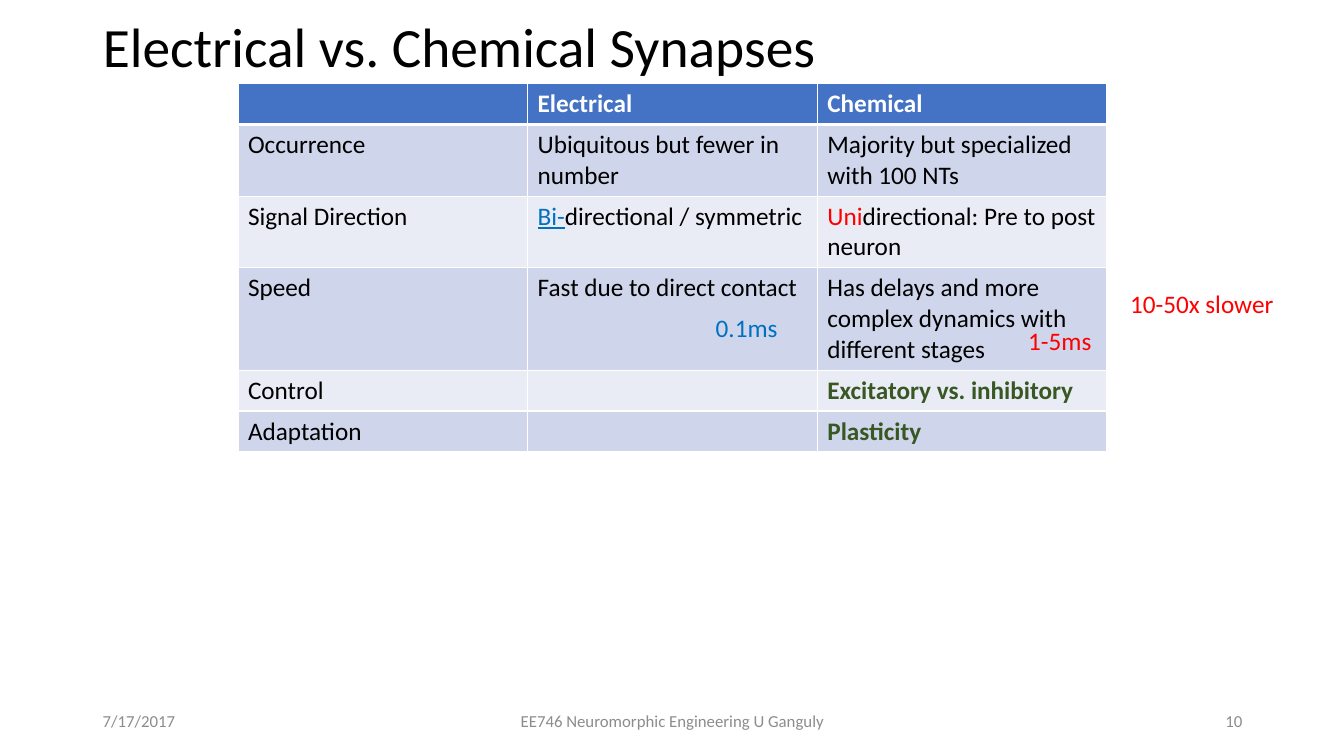
from lxml import etree
from pptx import Presentation
from pptx import util as u
from pptx.dml.color import RGBColor
from pptx.enum import text
from pptx.oxml import ns

WIDTH, HEIGHT = 13.33, 7.5
FONT = "Calibri"
BLACK = RGBColor(0x00, 0x00, 0x00)
WHITE = RGBColor(0xFF, 0xFF, 0xFF)
GREY = RGBColor(0x8C, 0x8C, 0x8C)
BLUE = RGBColor(0x00, 0x70, 0xC0)
RED = RGBColor(0xFF, 0x00, 0x00)
GREEN = RGBColor(0x38, 0x57, 0x23)
HEADER_FILL = RGBColor(0x44, 0x72, 0xC4)
BAND_FILLS = (RGBColor(0xE9, 0xEB, 0xF5), RGBColor(0xCF, 0xD5, 0xEA))

LEFT, MIDDLE, RIGHT = text.PP_ALIGN.LEFT, text.PP_ALIGN.CENTER, text.PP_ALIGN.RIGHT

# Each cell is plain text or a list of (text, colour, bold, underline) runs
COMPARISON = [
    ["", "Electrical", "Chemical"],
    ["Occurrence", "Ubiquitous but fewer in number", "Majority but specialized with 100 NTs"],
    ["Signal Direction",
     [("Bi-", BLUE, False, True), ("directional / symmetric", BLACK, False, False)],
     [("Uni", RED, False, False), ("directional: Pre to post neuron", BLACK, False, False)]],
    ["Speed", "Fast due to direct contact",
     "Has delays and more complex dynamics with different stages"],
    ["Control", "", [("Excitatory vs. inhibitory", GREEN, True, False)]],
    ["Adaptation", "", [("Plasticity", GREEN, True, False)]],
]
ROW_LINES = (1, 2, 2, 3, 1, 1)
ROW_PADDING, LINE_HEIGHT = 0.1, 0.305


def format_run(run, size, colour, bold=False, underline=False):
    run.font.name = FONT
    run.font.size = u.Pt(size)
    run.font.color.rgb = colour
    run.font.bold = bold
    if underline:
        run.font.underline = True


def add_label(slide, box, words, size, colour, align=LEFT, wrap=True,
              anchor=text.MSO_ANCHOR.TOP):
    shape = slide.shapes.add_textbox(*(u.Inches(length) for length in box))
    frame = shape.text_frame
    frame.word_wrap = wrap
    frame.vertical_anchor = anchor
    frame.text = words
    paragraph = frame.paragraphs[0]
    paragraph.alignment = align
    format_run(paragraph.runs[0], size, colour)


def add_title(slide, box, words):
    title = slide.shapes.title
    title.left, title.top, title.width, title.height = (u.Inches(length) for length in box)
    frame = title.text_frame
    frame.text = words
    frame.auto_size = text.MSO_AUTO_SIZE.NONE
    frame.vertical_anchor = text.MSO_ANCHOR.MIDDLE
    paragraph = frame.paragraphs[0]
    paragraph.alignment = LEFT
    paragraph.line_spacing = 0.9
    format_run(paragraph.runs[0], 39.6, BLACK)


def set_borders(cell, widths):
    """Draw white left, right, top and bottom borders, widths in points."""
    properties = cell._tc.get_or_add_tcPr()
    for side, width in zip(("lnL", "lnR", "lnT", "lnB"), widths):
        line = etree.SubElement(properties, ns.qn("a:" + side), w=str(u.Pt(width)))
        fill = etree.SubElement(line, ns.qn("a:solidFill"))
        etree.SubElement(fill, ns.qn("a:srgbClr"), val=str(WHITE))


def fill_cell(cell, content, row):
    is_header = row == 0
    set_borders(cell, (1, 1, 3 if row == 1 else 1, 3 if is_header else 1))
    cell.fill.solid()
    cell.fill.fore_color.rgb = HEADER_FILL if is_header else BAND_FILLS[row % 2]
    if isinstance(content, str):
        content = [(content, WHITE if is_header else BLACK, is_header, False)]
    paragraph = cell.text_frame.paragraphs[0]
    for words, colour, bold, underline in content:
        run = paragraph.add_run()
        run.text = words
        format_run(run, 18, colour, bold, underline)


def add_comparison(slide, left, top, width):
    heights = [ROW_PADDING + lines * LINE_HEIGHT for lines in ROW_LINES]
    columns = len(COMPARISON[0])
    table = slide.shapes.add_table(
        len(COMPARISON), columns, u.Inches(left), u.Inches(top),
        u.Inches(width), u.Inches(sum(heights))).table
    for column in table.columns:
        column.width = u.Inches(width / columns)
    for row, (contents, height) in enumerate(zip(COMPARISON, heights)):
        table.rows[row].height = u.Inches(height)
        for column, content in enumerate(contents):
            fill_cell(table.cell(row, column), content, row)


def add_speed_notes(slide, left, top):
    # Offsets from the table's top left corner
    add_label(slide, (left + 4.64, top + 2.22, 0.82, 0.4), "0.1ms", 18, BLUE, wrap=False)
    add_label(slide, (left + 7.74, top + 2.35, 0.83, 0.4), "1-5ms", 18, RED, wrap=False)
    add_label(slide, (left + 8.75, top + 1.98, 2.23, 0.4), "10-50x slower", 18, RED)


def add_footer(slide, left, top, width, height):
    side, centre = 3, 4.5
    parts = [
        (left, side, "7/17/2017", LEFT),
        (left + (width - centre) / 2, centre, "EE746 Neuromorphic Engineering U Ganguly", MIDDLE),
        (left + width - side, side, "10", RIGHT),
    ]
    for part_left, part_width, words, align in parts:
        add_label(slide, (part_left, top, part_width, height), words, 12, GREY,
                  align, anchor=text.MSO_ANCHOR.MIDDLE)


def main():
    presentation = Presentation()
    presentation.slide_width = u.Inches(WIDTH)
    presentation.slide_height = u.Inches(HEIGHT)
    slide = presentation.slides.add_slide(presentation.slide_layouts[5])

    margin, content_width = 0.92, 11.5
    table_left, table_top = 2.36, 0.83
    add_title(slide, (margin, 0.12, content_width, 0.74), "Electrical vs. Chemical Synapses")
    add_comparison(slide, table_left, table_top, 8.62)
    add_footer(slide, margin, 6.95, content_width, 0.4)
    add_speed_notes(slide, table_left, table_top)
    presentation.save("out.pptx")


if __name__ == "__main__":
    main()
